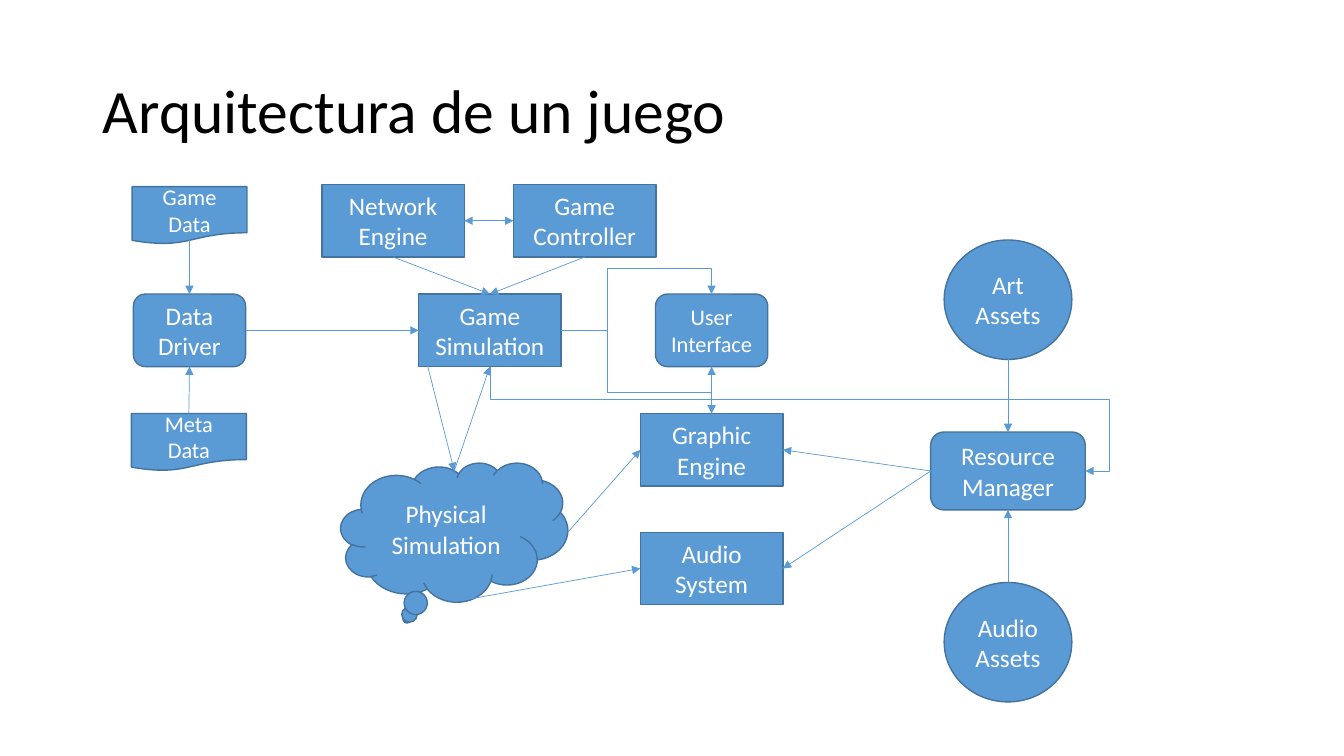
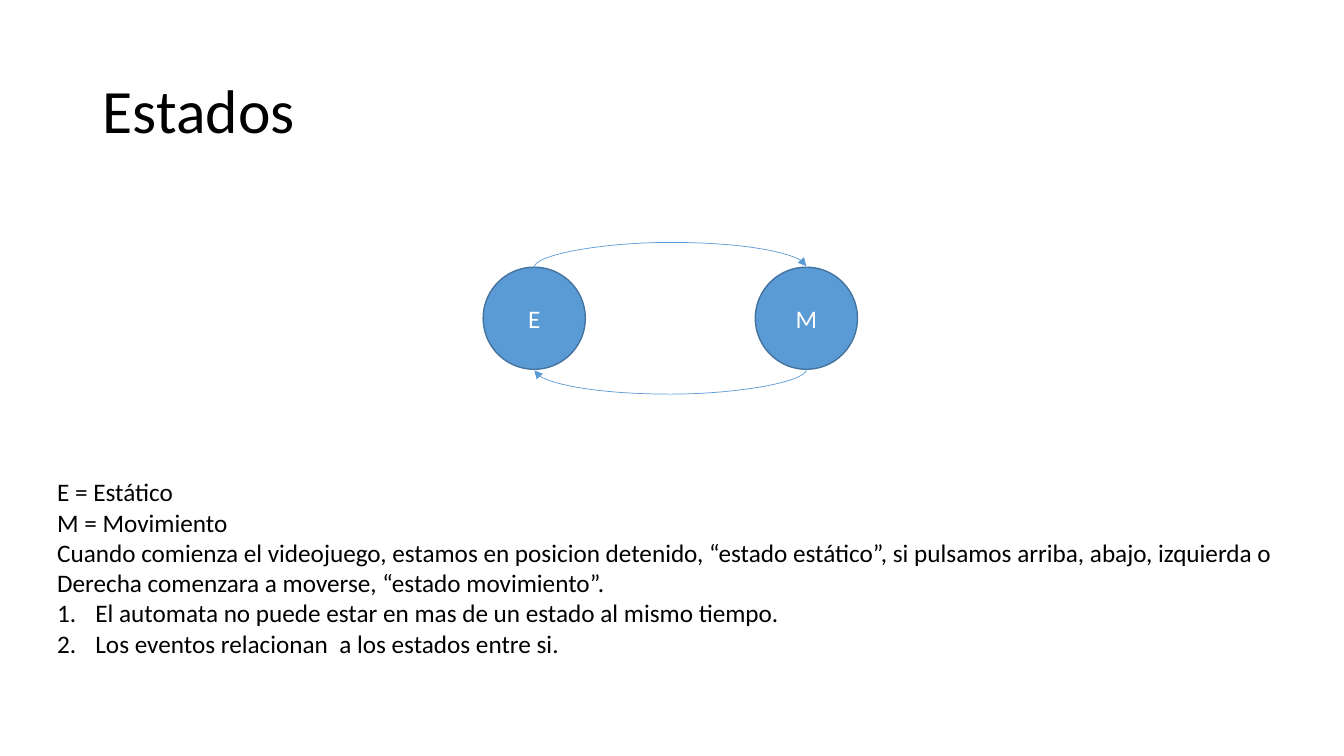
"""Build two slides on game architecture and game states."""
from lxml import etree
from pptx import Presentation
from pptx.dml.color import RGBColor
from pptx.enum.shapes import MSO_CONNECTOR, MSO_SHAPE
from pptx.enum.text import MSO_ANCHOR, MSO_AUTO_SIZE, PP_ALIGN
from pptx.oxml.ns import qn
from pptx.util import Inches, Pt

COLORS = {"text": "000000", "node": "5B9BD5", "edge": "43739E", "label": "FFFFFF"}
FONT = "Calibri"
W, H = Inches(13.33), Inches(7.5)
TITLE_ONLY, TITLE_BODY = 5, 1
STRAIGHT, ELBOW, CURVE = MSO_CONNECTOR.STRAIGHT, MSO_CONNECTOR.ELBOW, MSO_CONNECTOR.CURVE
RECT, ROUND = MSO_SHAPE.RECTANGLE, MSO_SHAPE.ROUNDED_RECTANGLE
DOC, CIRCLE = MSO_SHAPE.FLOWCHART_DOCUMENT, MSO_SHAPE.FLOWCHART_CONNECTOR
CLOUD = MSO_SHAPE.CLOUD_CALLOUT
TOP, LEFT, BOTTOM, RIGHT = range(4)
SIDES = {TOP: (0.5, 0), LEFT: (0, 0.5), BOTTOM: (0.5, 1), RIGHT: (1, 0.5)}

BLOCK, ROUNDED, SHEET = (10.6, 9.6), (8.35, 9.6), (8.55, 7.6)
MANAGER, ASSET, THOUGHT, STATE = (11.5, 10.3), (9.5, 15.8), (16.9, 18.4), (7.6, 13.5)
DATA_X, SIM_X, VIEW_X, RES_X, CLOUD_X = 14.1, 36.45, 52.95, 75, 33.8
INPUT_Y, MAIN_Y, GRAPHIC_Y, AUDIO_Y, RES_Y = 29.2, 43.7, 59.5, 75.2, 62.3

NODES = [
    ("data", DOC, (DATA_X, 28.5), SHEET, "Game Data", 16),
    ("driver", ROUND, (DATA_X, MAIN_Y), ROUNDED, "Data Driver", 18),
    ("meta", DOC, (14.05, 58.5), SHEET, "Meta Data", 16),
    ("sim", RECT, (SIM_X, MAIN_Y), BLOCK, "Game Simulation", 18),
    ("network", RECT, (29.25, INPUT_Y), BLOCK, "Network Engine", 18),
    ("control", RECT, (43.5, INPUT_Y), BLOCK, "Game Controller", 18),
    ("ui", ROUND, (VIEW_X, MAIN_Y), ROUNDED, "User\nInterface", 16),
    ("cloud", CLOUD, (CLOUD_X, 70.4), THOUGHT, "Physical Simulation", 18),
    ("audio", RECT, (VIEW_X, AUDIO_Y), BLOCK, "Audio System", 18),
    ("graphic", RECT, (VIEW_X, GRAPHIC_Y), BLOCK, "Graphic Engine", 18),
    ("sounds", CIRCLE, (RES_X, 84.95), ASSET, "Audio Assets", 18),
    ("manager", ROUND, (RES_X, RES_Y), MANAGER, "Resource Manager", 18),
    ("art", CIRCLE, (RES_X, 39.65), ASSET, "Art\nAssets", 18),
]
CLOUD_TOP = (CLOUD_X, 62.3)
LINKS = [
    (("art", BOTTOM), ("manager", TOP)),
    (("sounds", TOP), ("manager", BOTTOM)),
    (("network", BOTTOM), ("sim", TOP)),
    (("control", BOTTOM), ("sim", TOP)),
    (("ui", BOTTOM), ("graphic", TOP)),
    (("cloud", BOTTOM), ("audio", LEFT)),
    (("cloud", RIGHT), ("graphic", LEFT)),
    (CLOUD_TOP, ("sim", BOTTOM)),
    (("sim", LEFT), CLOUD_TOP),
    ((DATA_X, 31.75), ("driver", TOP)),
    (("meta", TOP), ("driver", BOTTOM)),
    (("driver", RIGHT), ("sim", LEFT)),
    (("manager", LEFT), ("graphic", RIGHT)),
    (("manager", LEFT), ("audio", RIGHT)),
]
ROUTES = [
    (("sim", BOTTOM), ("manager", RIGHT), 270, (0.31, 1.04)),
    (("sim", RIGHT), ("ui", TOP), 0, (0.31, 1.7)),
    (("sim", RIGHT), ("ui", BOTTOM), 0, (0.31, 1.7)),
]
NOTES = [
    "E = Estático",
    "M = Movimiento",
    "Cuando comienza el videojuego, estamos en posicion detenido, “estado estático”, "
    "si pulsamos arriba, abajo, izquierda o",
    "Derecha comenzara a moverse, “estado movimiento”.",
]
RULES = [
    "El automata no puede estar en mas de un estado al mismo tiempo.",
    "Los eventos relacionan  a los estados entre si.",
]


def color(name):
    return RGBColor.from_string(COLORS[name])


def point(x, y):
    return int(W * x / 100), int(H * y / 100)


def format_text(tf, size, name, align):
    for p in tf.paragraphs:
        p.alignment = align
        for r in p.runs:
            r.font.size, r.font.name = Pt(size), FONT
            r.font.color.rgb = color(name)


def place(sp, left, top, width, height):
    sp.left, sp.top = point(left, top)
    sp.width, sp.height = point(width, height)


def add_slide(prs, layout, title):
    slide = prs.slides.add_slide(prs.slide_layouts[layout])
    sp = slide.shapes.title
    place(sp, 6.9, 5.3, 86.25, 19.35)
    tf = sp.text_frame
    tf.text = title
    tf.vertical_anchor = MSO_ANCHOR.MIDDLE
    tf.auto_size = MSO_AUTO_SIZE.NONE
    tf.paragraphs[0].line_spacing = 0.9
    format_text(tf, 44, "text", PP_ALIGN.LEFT)
    return slide


def add_node(slide, kind, center, size, text, font_size=18):
    (cx, cy), (w, h) = point(*center), point(*size)
    sp = slide.shapes.add_shape(kind, cx - w // 2, cy - h // 2, w, h)
    sp.shadow.inherit = False
    sp.fill.solid()
    sp.fill.fore_color.rgb = color("node")
    sp.line.color.rgb = color("edge")
    sp.line.width = Pt(1)
    tf = sp.text_frame
    tf.text = text
    tf.word_wrap = True
    tf.vertical_anchor = MSO_ANCHOR.MIDDLE
    format_text(tf, font_size, "label", PP_ALIGN.CENTER)
    return sp


def locate(nodes, end):
    if end[0] not in nodes:
        return point(*end)
    sp, (fx, fy) = nodes[end[0]], SIDES[end[1]]
    return int(sp.left + fx * sp.width), int(sp.top + fy * sp.height)


def add_line(slide, kind, start, stop, heads=("tailEnd",)):
    cxn = slide.shapes.add_connector(kind, *start, *stop)
    cxn.line.color.rgb = color("node")
    cxn.line.width = Pt(0.5)
    ln = cxn.line._get_or_add_ln()
    for head in heads:
        etree.SubElement(ln, qn("a:" + head), type="triangle")
    etree.SubElement(cxn._element.spPr, qn("a:effectLst"))
    return cxn


def add_link(slide, nodes, start, stop, heads=("tailEnd",)):
    cxn = add_line(slide, STRAIGHT, locate(nodes, start), locate(nodes, stop), heads)
    for end, join in ((start, cxn.begin_connect), (stop, cxn.end_connect)):
        sp = nodes.get(end[0])
        if sp is not None and sp.auto_shape_type in (RECT, ROUND):
            join(sp, end[1])


def add_route(slide, kind, preset, start, stop, turn, bends):
    (x1, y1), (x2, y2) = start, stop
    dx, dy = x2 - x1, y2 - y1
    dx, dy = {0: (dx, dy), 90: (dy, -dx), 270: (-dy, dx)}[turn]
    left, top = (x1 + x2 - dx) // 2, (y1 + y2 - dy) // 2
    cxn = add_line(slide, kind, (left, top), (left + dx, top + dy))
    spPr = cxn._element.spPr
    spPr.xfrm.rot = turn
    geom = spPr.find(qn("a:prstGeom"))
    geom.set("prst", preset)
    geom.rewrite_guides([(f"adj{i}", int(b * 100000)) for i, b in enumerate(bends, 1)])


def add_notes(sp):
    place(sp, 3.5, 62.4, 92.95, 29.6)
    tf = sp.text_frame
    tf.text = "\n".join(NOTES + RULES)
    tf.word_wrap = False
    tf.auto_size = MSO_AUTO_SIZE.NONE
    tf.vertical_anchor = MSO_ANCHOR.TOP
    format_text(tf, 18, "text", PP_ALIGN.LEFT)
    for i, p in enumerate(tf.paragraphs):
        numbered = i >= len(NOTES)
        p.space_before = Pt(0)
        p.line_spacing = 1.0
        pPr = p._p.get_or_add_pPr()
        indent = Inches(0.38) if numbered else 0
        pPr.set("marL", str(indent))
        pPr.set("indent", str(-indent))
        if numbered:
            etree.SubElement(pPr, qn("a:buFont"), typeface="+mj-lt")
            etree.SubElement(pPr, qn("a:buAutoNum"), type="arabicPeriod")
        else:
            etree.SubElement(pPr, qn("a:buNone"))


def build_architecture(prs):
    slide = add_slide(prs, TITLE_ONLY, "Arquitectura de un juego")
    nodes = {name: add_node(slide, *rest) for name, *rest in NODES}
    for start, stop in LINKS:
        add_link(slide, nodes, start, stop)
    add_link(slide, nodes, ("network", RIGHT), ("control", LEFT), ("headEnd", "tailEnd"))
    for start, stop, turn, bends in ROUTES:
        add_route(slide, ELBOW, "bentConnector4", locate(nodes, start),
                  locate(nodes, stop), turn, bends)


def build_states(prs):
    slide = add_slide(prs, TITLE_BODY, "Estados")
    still_x, moving_x, mid_y = 39.75, 60, 42.1
    half, nudge = STATE[1] / 2, 0.13
    for x, text in ((still_x, "E"), (moving_x, "M")):
        add_node(slide, CIRCLE, (x, mid_y), STATE, text)
    for x1, x2, side in ((still_x, moving_x, -1), (moving_x, still_x, 1)):
        y = mid_y + side * half
        add_route(slide, CURVE, "curvedConnector3", point(x1, y),
                  point(x2, y + side * nudge), 90, (25,))
    add_notes(slide.placeholders[1])


def main():
    prs = Presentation()
    prs.slide_width, prs.slide_height = W, H
    build_architecture(prs)
    build_states(prs)
    prs.save("out.pptx")


if __name__ == "__main__":
    main()
